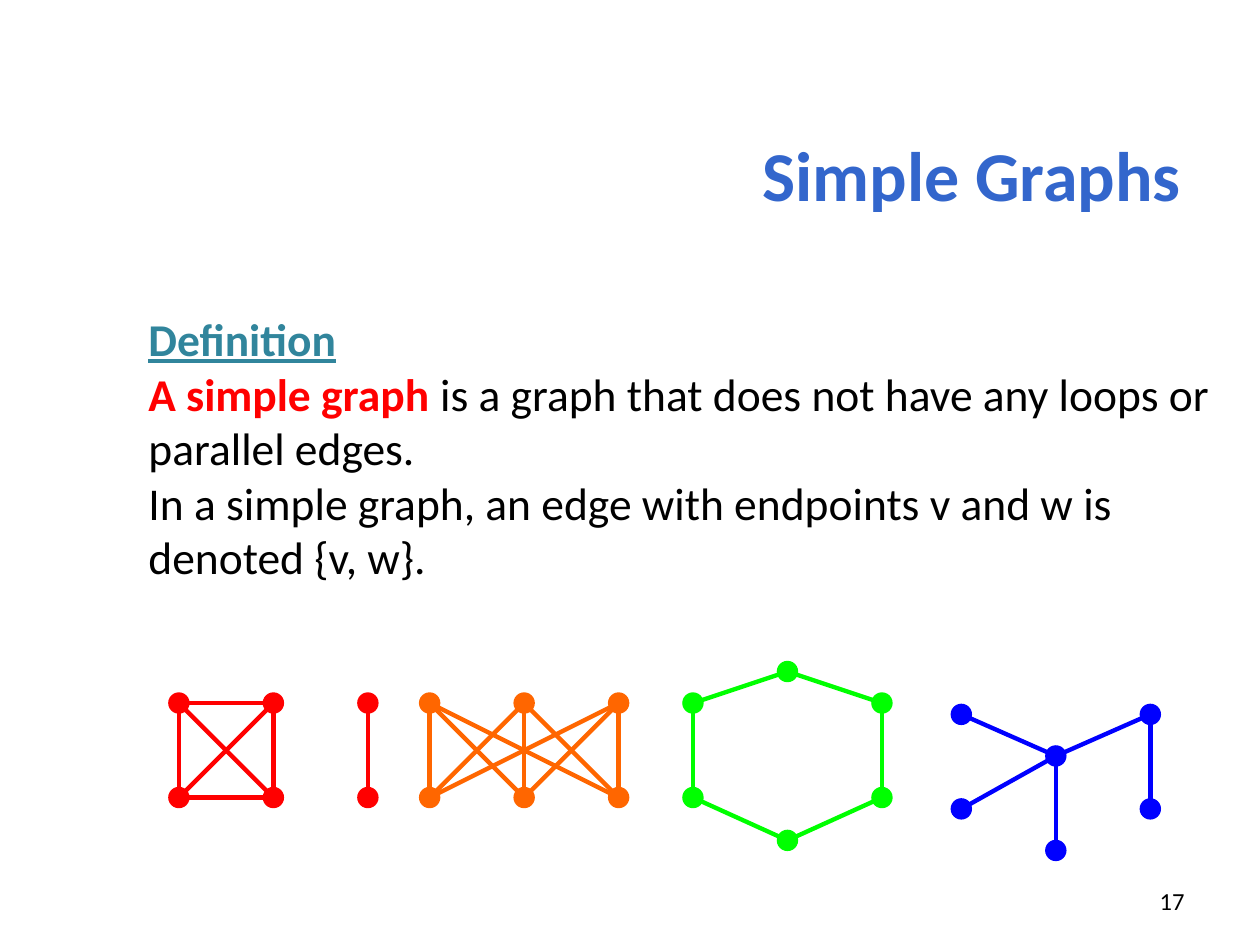
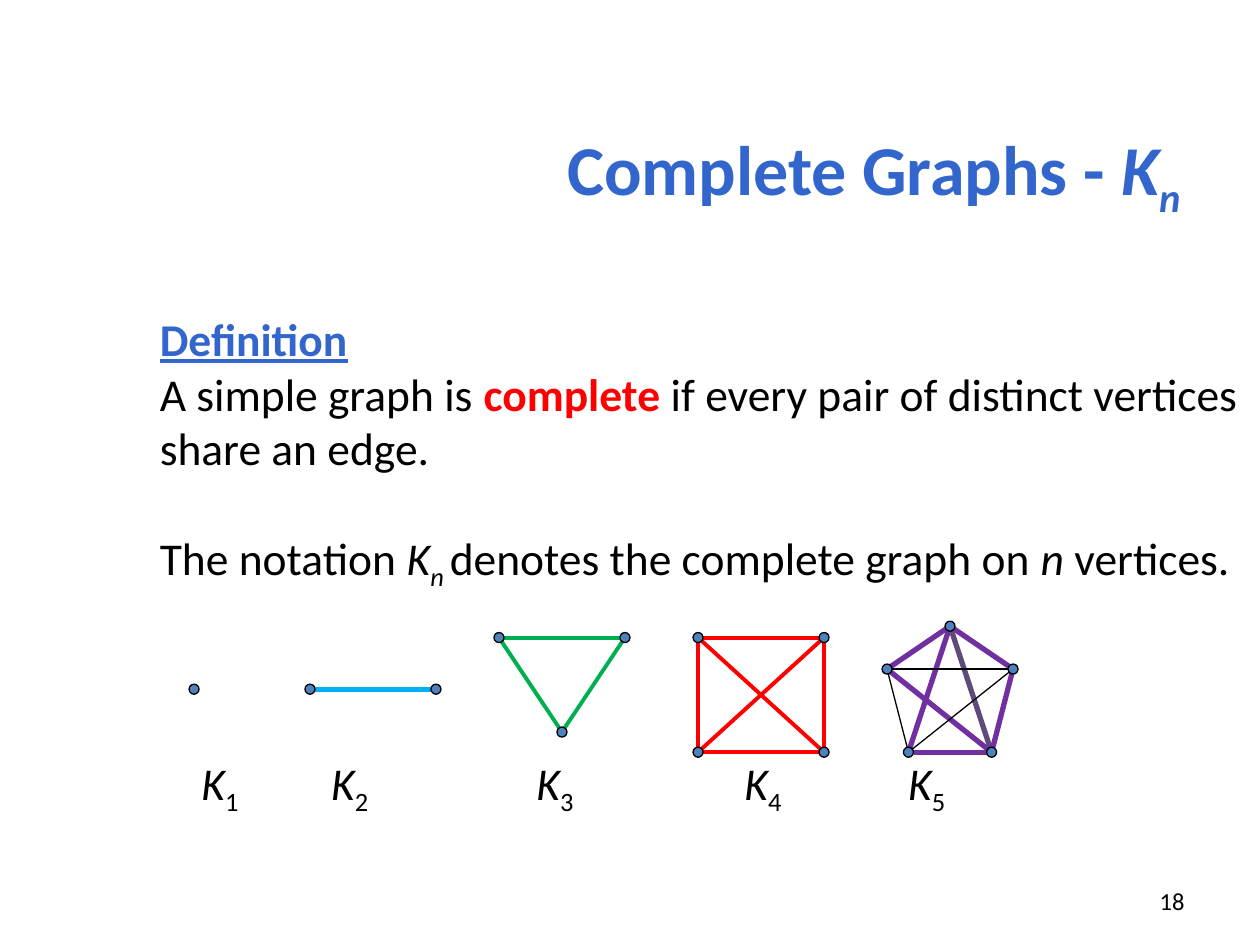
from dataclasses import dataclass, field
from itertools import combinations, product
from math import hypot

from lxml import etree
from pptx import Presentation
from pptx.dml.color import RGBColor
from pptx.enum import shapes, text
from pptx.oxml import ns
from pptx.util import Inches, Pt

Point = tuple[float, float]
Edge = tuple[int, int]
Box = tuple[float, float, float, float]


@dataclass(frozen=True)
class Theme:
    font: str = "Calibri"
    title_size: float = 40
    body_size: float = 26
    number_size: float = 14
    blue: str = "3366CC"
    teal: str = "31859C"
    black: str = "000000"
    red: str = "FF0000"
    orange: str = "FF6600"
    lime: str = "00FF00"
    pure_blue: str = "0000FF"
    green: str = "00B050"
    sky: str = "00B0F0"
    purple: str = "7030A0"
    dull_purple: str = "604A7B"
    vertex: str = "4F81BD"


THEME = Theme()
TITLE_BOX: Box = (0.47, 0.75, 9, 1.25)
NUMBER_BOX: Box = (7.17, 6.95, 2.33, 0.4)
LABEL_TOP = 5.94


@dataclass(frozen=True)
class Span:
    text: str
    colour: str | None = None
    bold: bool | None = None
    italic: bool | None = None
    underline: bool | None = None
    subscript: bool = False


@dataclass(frozen=True)
class Para:
    spans: list[Span]
    space_before: float = 0


@dataclass(frozen=True)
class Pen:
    colour: str
    width: float


@dataclass(frozen=True)
class Dot:
    diameter: float
    fill: str
    outlined: bool = False


@dataclass(frozen=True)
class Graph:
    vertices: list[Point]
    edges: list[Edge]
    pen: Pen
    dot: Dot
    special_pens: dict[Edge, Pen] = field(default_factory=dict)


@dataclass(frozen=True)
class Topic:
    number: int
    title: list[Span]
    body_box: Box
    body: list[Para]
    graphs: list[Graph]
    label_lefts: list[float] = field(default_factory=list)


def rgb(colour: str) -> RGBColor:
    return RGBColor.from_string(colour)


def inches(values: tuple[float, ...]) -> list[int]:
    return [Inches(v) for v in values]


def write(tf, paras: list[Para], size: float, colour: str,
          bold: bool = False, align=text.PP_ALIGN.LEFT,
          anchor=text.MSO_ANCHOR.TOP) -> None:
    tf.word_wrap = True
    tf.auto_size = text.MSO_AUTO_SIZE.NONE
    tf.vertical_anchor = anchor
    for i, para in enumerate(paras):
        p = tf.paragraphs[0] if i == 0 else tf.add_paragraph()
        p.alignment = align
        p.space_before = Pt(para.space_before)
        for span in para.spans:
            r = p.add_run()
            r.text = span.text
        for font in (p.font, *(r.font for r in p.runs)):
            font.name, font.size, font.bold = THEME.font, Pt(size), bold
            font.color.rgb = rgb(colour)
        for span, r in zip(para.spans, p.runs):
            if span.colour:
                r.font.color.rgb = rgb(span.colour)
            if span.bold is not None:
                r.font.bold = span.bold
            r.font.italic = span.italic
            r.font.underline = span.underline
            if span.subscript:
                r._r.get_or_add_rPr().set("baseline", "-25000")


def draw_edge(group, start: Point, end: Point, trim: float, pen: Pen) -> None:
    (x1, y1), (x2, y2) = start, end
    share = trim / hypot(x2 - x1, y2 - y1)
    dx, dy = (x2 - x1) * share, (y2 - y1) * share
    ends = inches((x1 + dx, y1 + dy, x2 - dx, y2 - dy))
    cx = group.shapes.add_connector(shapes.MSO_CONNECTOR.STRAIGHT, *ends)
    cx.line.color.rgb = rgb(pen.colour)
    cx.line.width = Pt(pen.width)
    etree.SubElement(cx._element.spPr, ns.qn("a:effectLst"))


def draw_vertex(group, centre: Point, dot: Dot) -> None:
    d = dot.diameter
    box = inches((centre[0] - d / 2, centre[1] - d / 2, d, d))
    sp = group.shapes.add_shape(shapes.MSO_SHAPE.OVAL, *box)
    sp.shadow.inherit = False
    sp.fill.solid()
    sp.fill.fore_color.rgb = rgb(dot.fill)
    if dot.outlined:
        sp.line.color.rgb = rgb(THEME.black)
        sp.line.width = Pt(0.75)
    else:
        sp.line.fill.background()


def draw_graph(s, graph: Graph) -> None:
    group = s.shapes.add_group_shape()
    trim = graph.dot.diameter / 2 if graph.dot.outlined else 0
    for a, b in graph.edges:
        pen = graph.special_pens.get((a, b), graph.pen)
        draw_edge(group, graph.vertices[a], graph.vertices[b], trim, pen)
    for centre in graph.vertices:
        draw_vertex(group, centre, graph.dot)


def build_slide(prs, topic: Topic) -> None:
    s = prs.slides.add_slide(prs.slide_layouts[5])
    title = s.shapes.title
    title.left, title.top, title.width, title.height = inches(TITLE_BOX)
    write(title.text_frame, [Para(topic.title)], THEME.title_size, THEME.blue,
          True, text.PP_ALIGN.RIGHT, text.MSO_ANCHOR.MIDDLE)
    body = s.shapes.add_textbox(*inches(topic.body_box))
    write(body.text_frame, topic.body, THEME.body_size, THEME.black)
    number = s.shapes.add_textbox(*inches(NUMBER_BOX))
    write(number.text_frame, [Para([Span(str(topic.number))])],
          THEME.number_size, THEME.black, align=text.PP_ALIGN.RIGHT,
          anchor=text.MSO_ANCHOR.MIDDLE)
    for graph in topic.graphs:
        draw_graph(s, graph)
    for n, left in enumerate(topic.label_lefts, 1):
        label = s.shapes.add_textbox(*inches((left, LABEL_TOP, 0.7, 0.55)))
        spans = [Span("K", italic=True), Span(str(n), subscript=True)]
        write(label.text_frame, [Para(spans)], THEME.body_size, THEME.black)


def definition(colour: str) -> Para:
    return Para([Span("Definition", colour, bold=True, underline=True)])


def complete(n: int) -> list[Edge]:
    return list(combinations(range(n), 2))


def columns(left: float, count: int) -> list[Point]:
    return [(left + 0.75 * i, y) for i in range(count) for y in (5.58, 6.33)]


def simple_graph(vertices: list[Point], edges: list[Edge],
                 colour: str) -> Graph:
    return Graph(vertices, edges, Pen(colour, 2.5), Dot(0.17, colour))


def complete_graph(vertices: list[Point], colour: str, width: float,
                   special_pens: dict[Edge, Pen] | None = None) -> Graph:
    return Graph(vertices, complete(len(vertices)), Pen(colour, width),
                 Dot(0.08, THEME.vertex, True), special_pens or {})


THIN = Pen(THEME.black, 0.75)

SIMPLE = Topic(
    17,
    [Span("Simple Graphs")],
    (1.08, 2.42, 9, 3.6),
    [
        definition(THEME.teal),
        Para([Span("A simple graph ", THEME.red, bold=True),
              Span("is a graph that does not have any loops or "
                   "parallel edges.")]),
        Para([Span("In a simple graph, an edge with endpoints v and w is "
                   "denoted {v, w}.")]),
    ],
    [
        simple_graph(columns(1.42, 3), complete(4) + [(4, 5)], THEME.red),
        simple_graph(columns(3.41, 3), list(product((0, 2, 4), (1, 3, 5))),
                     THEME.orange),
        simple_graph([(6.25, 5.33), (7, 5.58), (7, 6.33),
                      (6.25, 6.67), (5.5, 6.33), (5.5, 5.58)],
                     [(i, (i + 1) % 6) for i in range(6)], THEME.lime),
        simple_graph([(8.38, 6), (7.63, 5.67), (7.63, 6.42),
                      (8.38, 6.75), (9.13, 5.67), (9.13, 6.42)],
                     [(0, i) for i in range(1, 5)] + [(4, 5)],
                     THEME.pure_blue),
    ],
)

COMPLETE = Topic(
    18,
    [Span("Complete Graphs - "), Span("K", italic=True),
     Span("n", italic=True, subscript=True)],
    (1.17, 2.42, 9, 3.6),
    [
        definition(THEME.blue),
        Para([Span("A simple graph is "),
              Span("complete", THEME.red, bold=True),
              Span(" if every pair of distinct vertices share an edge.")]),
        Para([Span("The notation "), Span("K", italic=True),
              Span("n ", italic=True, subscript=True),
              Span("denotes the complete graph on "),
              Span("n ", italic=True), Span("vertices.")],
             space_before=31.5),
    ],
    [
        complete_graph([(1.54, 5.47)], THEME.black, 0.75),
        complete_graph([(2.46, 5.47), (3.46, 5.47)], THEME.sky, 3),
        complete_graph([(3.96, 5.06), (4.96, 5.06), (4.46, 5.81)],
                       THEME.green, 2.25),
        complete_graph(list(product((5.54, 6.54), (5.06, 5.97))),
                       THEME.red, 2.25),
        complete_graph([(7.54, 4.97), (7.04, 5.31), (8.04, 5.31),
                        (7.21, 5.97), (7.87, 5.97)], THEME.purple, 3,
                       {(1, 2): THIN, (1, 3): THIN, (2, 3): THIN,
                        (0, 4): Pen(THEME.dull_purple, 3)}),
    ],
    [1.5, 2.53, 4.16, 5.81, 7.11],
)


def main() -> None:
    prs = Presentation()
    prs.slide_width, prs.slide_height = Inches(10), Inches(7.5)
    for topic in (SIMPLE, COMPLETE):
        build_slide(prs, topic)
    prs.save("out.pptx")


if __name__ == "__main__":
    main()
